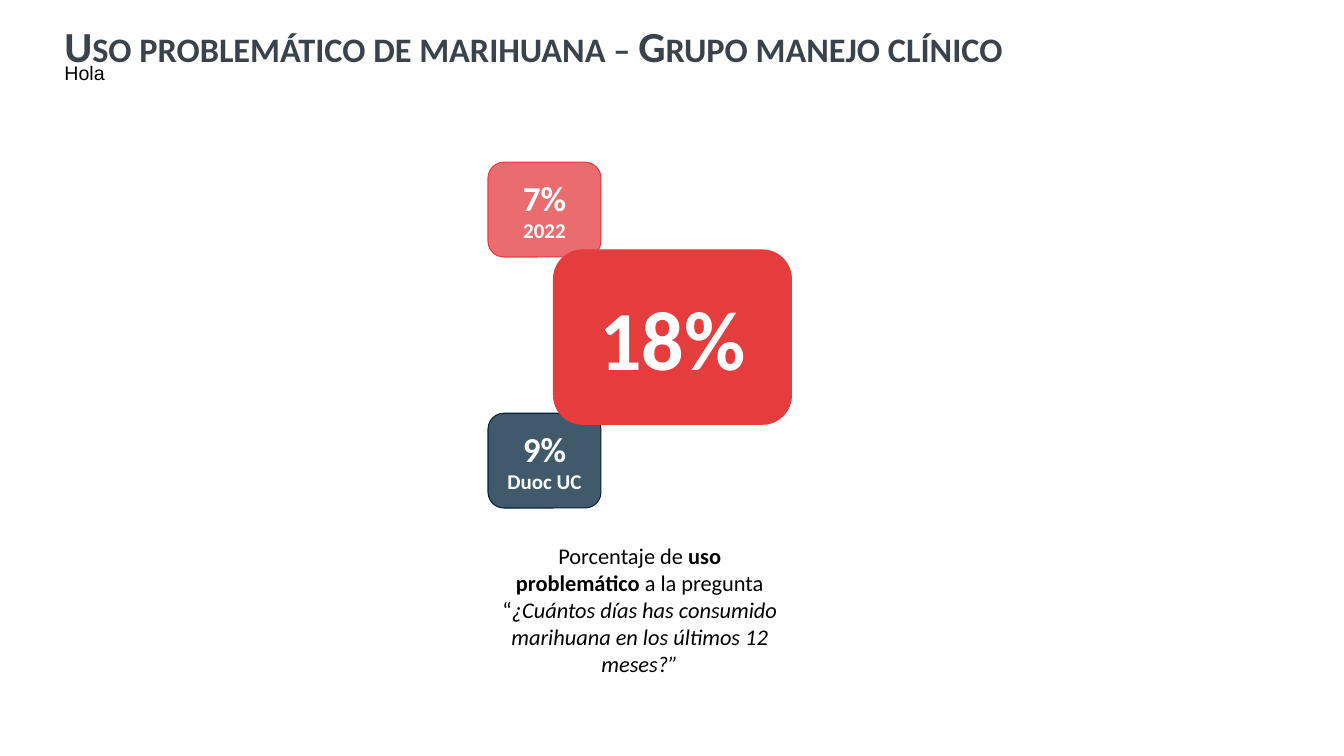
"""Build the slide on problematic marijuana use in the clinical management group."""
from dataclasses import dataclass

from lxml import etree
from pptx import Presentation
from pptx import util as u
from pptx.dml.color import RGBColor
from pptx.enum import shapes, text
from pptx.oxml.ns import qn


@dataclass(frozen=True)
class Theme:
    heading_font: str = "Calibri"
    note_font: str = "Arial"
    heading: str = "3A434C"
    ink: str = "000000"
    white: str = "FFFFFF"
    red: str = "E53C3E"
    navy: str = "00223A"
    title_size: float = 30.6
    result_size: float = 60
    value_size: float = 25
    question_size: float = 16
    label_size: float = 15
    note_size: float = 14


THEME = Theme()
TITLE = "Uso problemático de marihuana – Grupo manejo clínico"
NOTE = "Hola"
QUESTION = [
    ("Porcentaje de ", False, False),
    ("uso problemático", True, False),
    (" a la pregunta “", False, False),
    ("¿Cuántos días has consumido marihuana en los últimos 12 meses?”", False, True),
]
REFERENCES = [("7%", "2022", THEME.red), ("9%", "Duoc UC", THEME.navy)]
RESULT = "18%"

MARGIN = 0.54
CARD_LEFT, CARD_TOP, CARD_STEP = 4.84, 1.61, 2.49
CARD_SIZE = (1.12, 0.94)
RESULT_SIZE = (2.36, 1.73)
QUESTION_BOX = (CARD_LEFT, 5.33, 3.01, 1.45)
RESULT_LEFT = CARD_LEFT + QUESTION_BOX[2] - RESULT_SIZE[0]
RESULT_TOP = 2.48


def style(font, size, color, name=THEME.heading_font, bold=False, italic=False):
    font.name, font.size = name, u.Pt(size)
    font.bold, font.italic = bold, italic
    font.color.rgb = RGBColor.from_string(color)


def add_text_box(slide, box):
    frame = slide.shapes.add_textbox(*map(u.Inches, box)).text_frame
    frame.word_wrap = True
    return frame


def add_card(slide, box, color, lines, opacity=100):
    card = slide.shapes.add_shape(shapes.MSO_SHAPE.ROUNDED_RECTANGLE, *map(u.Inches, box))
    card.shadow.inherit = False
    card.fill.solid()
    card.fill.fore_color.rgb = card.line.color.rgb = RGBColor.from_string(color)
    card.line.width = u.Pt(0.75)
    if opacity < 100:
        fill_color = card._element.spPr.find(qn("a:solidFill"))[0]
        etree.SubElement(fill_color, qn("a:alpha"), val=str(opacity * 1000))
    frame = card.text_frame
    frame.word_wrap = True
    frame.vertical_anchor = text.MSO_ANCHOR.MIDDLE
    frame.text = "\n".join(line for line, size in lines)
    for paragraph, (line, size) in zip(frame.paragraphs, lines):
        paragraph.alignment = text.PP_ALIGN.CENTER
        style(paragraph.runs[0].font, size, THEME.white, bold=True)


def add_title(slide):
    frame = add_text_box(slide, (MARGIN, 0.25, 12.73, 0.94))
    frame.vertical_anchor = text.MSO_ANCHOR.MIDDLE
    frame.margin_bottom = u.Inches(0.52)
    frame.text = TITLE
    paragraph = frame.paragraphs[0]
    paragraph.line_spacing = 0.9
    run = paragraph.runs[0]
    style(run.font, THEME.title_size, THEME.heading, bold=True)
    run._r.get_or_add_rPr().set("cap", "small")


def add_question(slide):
    frame = add_text_box(slide, QUESTION_BOX)
    frame.auto_size = text.MSO_AUTO_SIZE.SHAPE_TO_FIT_TEXT
    paragraph = frame.paragraphs[0]
    paragraph.alignment = text.PP_ALIGN.CENTER
    for words, bold, italic in QUESTION:
        run = paragraph.add_run()
        run.text = words
        style(run.font, THEME.question_size, THEME.ink, bold=bold, italic=italic)


def add_note(slide):
    frame = add_text_box(slide, (MARGIN, 0.56, 10.52, 0.34))
    frame.auto_size = text.MSO_AUTO_SIZE.SHAPE_TO_FIT_TEXT
    frame.text = NOTE
    style(frame.paragraphs[0].runs[0].font, THEME.note_size, THEME.ink, THEME.note_font)


def main():
    presentation = Presentation()
    presentation.slide_width, presentation.slide_height = u.Inches(13.33), u.Inches(7.5)
    slide = presentation.slides.add_slide(presentation.slide_layouts[6])
    add_title(slide)
    add_question(slide)
    for index, (value, label, color) in enumerate(REFERENCES):
        box = (CARD_LEFT, CARD_TOP + index * CARD_STEP, *CARD_SIZE)
        lines = [(value, THEME.value_size), (label, THEME.label_size)]
        add_card(slide, box, color, lines, opacity=75)
    result_box = (RESULT_LEFT, RESULT_TOP, *RESULT_SIZE)
    add_card(slide, result_box, THEME.red, [(RESULT, THEME.result_size)])
    add_note(slide)
    presentation.save("out.pptx")


if __name__ == "__main__":
    main()
